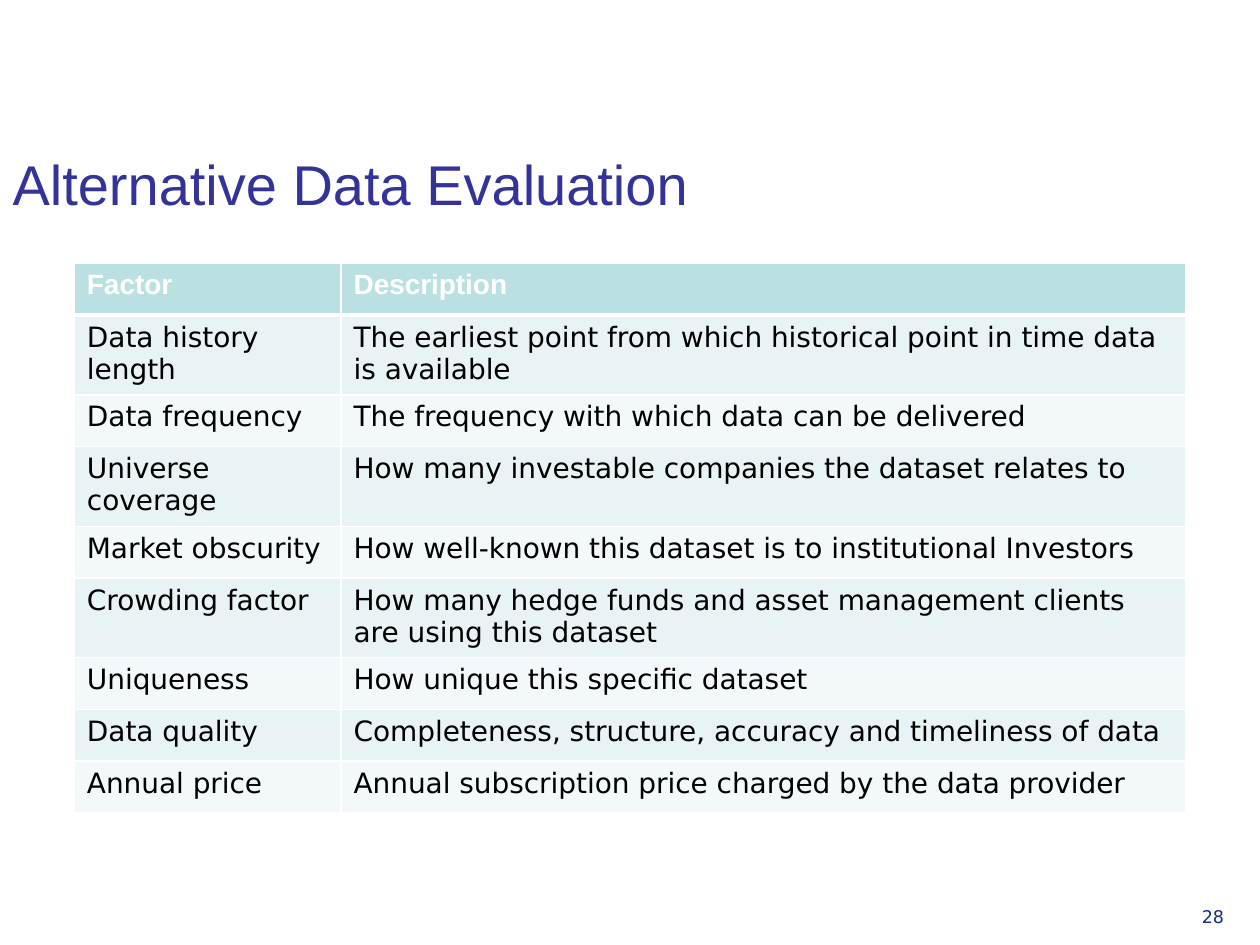
from lxml.etree import SubElement
from pptx import Presentation
from pptx.dml.color import RGBColor
from pptx.enum.text import MSO_ANCHOR, MSO_AUTO_SIZE, PP_ALIGN
from pptx.oxml.ns import qn
from pptx.util import Inches, Pt

WHITE = RGBColor(0xFF, 0xFF, 0xFF)
BLACK = RGBColor(0x00, 0x00, 0x00)
TITLE_BLUE = RGBColor(0x33, 0x33, 0x99)
NUMBER_BLUE = RGBColor(0x15, 0x2E, 0x82)
HEADER_TEAL = RGBColor(0xBB, 0xE0, 0xE3)
BAND_COLOURS = (RGBColor(0xE7, 0xF3, 0xF4), RGBColor(0xF3, 0xF9, 0xFA))

HEADING_FONT = "Arial"
BODY_FONT = "DejaVu Sans"

COLUMN_SHARES = (0.24, 0.76)
ROW_HEIGHT = Inches(0.41)
ROWS = (
    ("Factor", "Description"),
    ("Data history length",
     "The earliest point from which historical point in time data is available"),
    ("Data frequency", "The frequency with which data can be delivered"),
    ("Universe coverage", "How many investable companies the dataset relates to"),
    ("Market obscurity", "How well-known this dataset is to institutional Investors"),
    ("Crowding factor",
     "How many hedge funds and asset management clients are using this dataset"),
    ("Uniqueness", "How unique this specific dataset"),
    ("Data quality", "Completeness, structure, accuracy and timeliness of data"),
    ("Annual price", "Annual subscription price charged by the data provider"),
)


def format_text(text_frame, size, font_name, colour, bold=False):
    for paragraph in text_frame.paragraphs:
        paragraph.alignment = PP_ALIGN.LEFT
        for run in paragraph.runs:
            run.font.size = Pt(size)
            run.font.name = font_name
            run.font.color.rgb = colour
            run.font.bold = bold


def set_borders(cell, widths):
    """Draw white cell borders; widths maps a border tag to points."""
    properties = cell._tc.get_or_add_tcPr()
    for index, (tag, width) in enumerate(widths.items()):
        line = SubElement(properties, qn(f"a:{tag}"), w=str(Pt(width)))
        fill = SubElement(line, qn("a:solidFill"))
        SubElement(fill, qn("a:srgbClr"), val=str(WHITE))
        properties.insert(index, line)


def add_title(slide, left, top, width, height):
    title = slide.shapes.title
    title.left, title.top, title.width, title.height = left, top, width, height
    text_frame = title.text_frame
    text_frame.text = "Alternative Data Evaluation"
    text_frame.auto_size = MSO_AUTO_SIZE.NONE
    text_frame.vertical_anchor = MSO_ANCHOR.BOTTOM
    format_text(text_frame, 32, HEADING_FONT, TITLE_BLUE)


def add_factor_table(slide, left, top, width):
    table = slide.shapes.add_table(
        len(ROWS), len(COLUMN_SHARES), left, top, width, ROW_HEIGHT * len(ROWS)
    ).table
    for column, share in zip(table.columns, COLUMN_SHARES):
        column.width = int(width * share)
    for row_index, texts in enumerate(ROWS):
        is_header = row_index == 0
        for column_index, text in enumerate(texts):
            cell = table.cell(row_index, column_index)
            cell.text_frame.text = text
            cell.fill.solid()
            if is_header:
                cell.fill.fore_color.rgb = HEADER_TEAL
                format_text(cell.text_frame, 16, HEADING_FONT, WHITE, bold=True)
            else:
                cell.fill.fore_color.rgb = BAND_COLOURS[(row_index - 1) % 2]
                format_text(cell.text_frame, 16, BODY_FONT, BLACK)
            set_borders(cell, {"lnL": 1, "lnR": 1,
                               "lnT": 3 if row_index == 1 else 1,
                               "lnB": 3 if is_header else 1})


def add_page_number(slide, left, top, width, height):
    text_frame = slide.shapes.add_textbox(left, top, width, height).text_frame
    text_frame.word_wrap = True
    text_frame.text = "28"
    format_text(text_frame, 10, BODY_FONT, NUMBER_BLUE)


def main():
    presentation = Presentation()
    presentation.slide_width = Inches(10)
    presentation.slide_height = Inches(7.5)
    slide = presentation.slides.add_slide(presentation.slide_layouts[5])
    add_page_number(slide, Inches(9.44), Inches(7.14), Inches(0.55), Inches(0.39))
    add_title(slide, 0, Inches(0.68), Inches(8.83), Inches(1.09))
    add_factor_table(slide, Inches(0.59), Inches(2.09), Inches(8.82))
    presentation.save("out.pptx")


if __name__ == "__main__":
    main()
